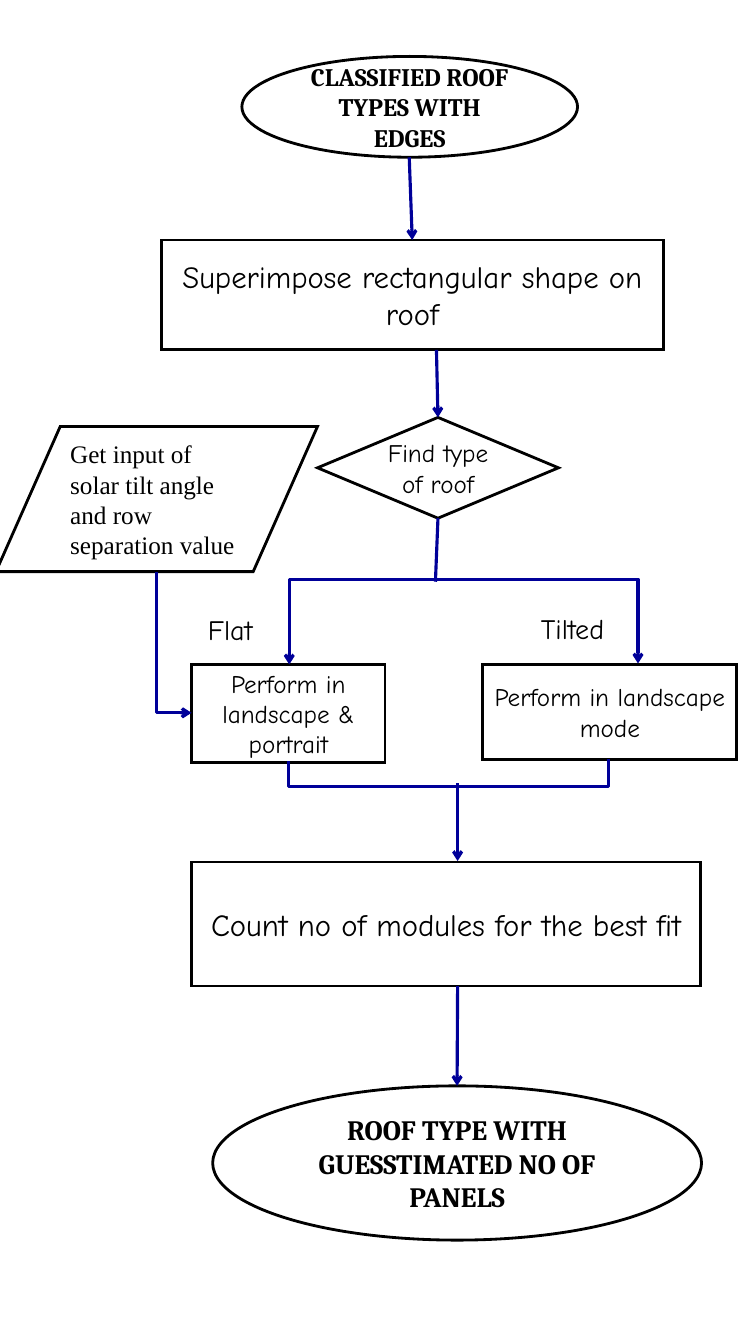
from lxml.etree import SubElement
from pptx import Presentation
from pptx.dml.color import RGBColor
from pptx.enum.shapes import MSO_CONNECTOR, MSO_SHAPE
from pptx.enum.text import MSO_ANCHOR, PP_ALIGN
from pptx.oxml.ns import qn
from pptx.util import Inches, Pt


def colour(code):
    return RGBColor.from_string(code)


def write(box, text, font="Comic Neue", size=18, bold=False,
          align=PP_ALIGN.CENTER, anchor=MSO_ANCHOR.MIDDLE):
    frame = box.text_frame
    frame.word_wrap = True
    frame.vertical_anchor = anchor
    para = frame.paragraphs[0]
    para.alignment = align
    span = para.add_run()
    span.text = text
    span.font.name, span.font.size, span.font.bold = font, Pt(size), bold
    span.font.color.rgb = colour(Flowchart.INK)


class Flowchart:
    """Draws flowchart parts on a page with a grid of 75 columns and square rows."""

    INK, PAPER, FLOW = "000000", "FFFFFF", "000099"
    COLUMNS = 75

    def __init__(self, deck):
        self.page = deck.slides.add_slide(deck.slide_layouts[6])
        self.unit = deck.slide_width / self.COLUMNS

    def cells(self, *counts):
        return [round(count * self.unit) for count in counts]

    def step(self, kind, place, text, **style):
        box = self.page.shapes.add_shape(kind, *self.cells(*place))
        box.shadow.inherit = False
        box.fill.solid()
        box.fill.fore_color.rgb = colour(self.PAPER)
        box.line.color.rgb = colour(self.INK)
        box.line.width = Pt(2)
        SubElement(box.line._get_or_add_ln(), qn("a:miter"), lim="800000")
        write(box, text, **style)
        return box

    def label(self, place, text):
        box = self.page.shapes.add_textbox(*self.cells(*place))
        box.fill.solid()
        box.fill.fore_color.rgb = colour(self.PAPER)
        write(box, text, size=20, anchor=MSO_ANCHOR.BOTTOM)

    def connector(self, kind, start, end, arrows):
        line = self.page.shapes.add_connector(kind, *self.cells(*start, *end))
        line.line.color.rgb = colour(self.FLOW)
        line.line.width = Pt(2.25)
        for arrow in arrows:
            SubElement(line.line._get_or_add_ln(), qn(f"a:{arrow}"), type="arrow")
        SubElement(line._element.spPr, qn("a:effectLst"))
        return line

    def link(self, start, end, source=None, target=None, arrows=("tailEnd",)):
        line = self.connector(MSO_CONNECTOR.STRAIGHT, start, end, arrows)
        if source is not None:
            line.begin_connect(source, 2)
        if target is not None:
            line.end_connect(target, 0)

    def elbow(self, start, end, rise=None, arrows=()):
        (left, top), (right, bottom) = start, end
        length, span = abs(bottom - top), right - left
        corner = ((left + right - length) / 2, (top + bottom - span) / 2)
        line = self.connector(MSO_CONNECTOR.ELBOW, corner,
                              (corner[0] + length, corner[1] + span), arrows)
        frame = line._element.spPr.find(qn("a:xfrm"))
        frame.set("rot", str(270 * 60000))
        shape = line._element.spPr.find(qn("a:prstGeom"))
        if rise is None:
            frame.set("flipH", "1")
            shape.set("prst", "bentConnector2")
        else:
            guides = shape.get_or_add_avLst()
            SubElement(guides, qn("a:gd"), name="adj1",
                       fmla=f"val {round(rise / length * 100000)}")


def main():
    deck = Presentation()
    deck.slide_width, deck.slide_height = Inches(7.5), Inches(13.33)
    chart = Flowchart(deck)
    box, oval = MSO_SHAPE.RECTANGLE, MSO_SHAPE.OVAL

    superimpose = chart.step(box, (16, 23.8, 49.8, 10.9),
                             "Superimpose rectangular shape on roof", size=22)
    chart.step(box, (19, 65.9, 19.2, 9.7), "Perform in landscape & portrait")
    chart.step(box, (47.9, 65.9, 25.2, 9.4), "Perform in landscape mode")
    result = chart.step(oval, (21.1, 107.7, 48.5, 15.3),
                        "ROOF TYPE WITH GUESSTIMATED NO OF PANELS",
                        font="Cambria", size=20, bold=True)
    chart.step(oval, (24, 5.6, 33.3, 10), "CLASSIFIED ROOF TYPES WITH EDGES",
               font="Cambria", bold=True)
    count = chart.step(box, (19, 85.5, 50.5, 12.3),
                       "Count no of modules for the best fit", size=22)
    decision = chart.step(MSO_SHAPE.DIAMOND, (31.5, 41.4, 23.9, 10),
                          "Find type of roof")
    chart.step(MSO_SHAPE.FLOWCHART_DATA, (-0.4, 42.3, 31.9, 14.4),
               "Get input of solar tilt angle and row separation value",
               font="Times New Roman", align=PP_ALIGN.LEFT)

    chart.link((40.6, 15.6), (40.9, 23.8), target=superimpose)
    chart.link((43.3, 34.7), (43.4, 41.4), target=decision)
    chart.link((45.4, 77.7), (45.4, 85.4))
    chart.link((45.4, 97.8), (45.4, 107.7), target=result)
    chart.elbow((15.5, 56.7), (19, 70.7), arrows=("tailEnd",))
    chart.elbow((28.7, 65.9), (63.3, 65.8), rise=8.6, arrows=("headEnd", "tailEnd"))
    chart.elbow((28.6, 75.5), (60.4, 75.3), rise=-2.5)
    chart.label((51.1, 60.4, 11.4, 4.1), "Tilted")
    chart.label((18.8, 60.5, 8.1, 4.1), "Flat")
    chart.link((43.4, 51.4), (43.2, 57.7), source=decision, arrows=())

    deck.save("out.pptx")


if __name__ == "__main__":
    main()
